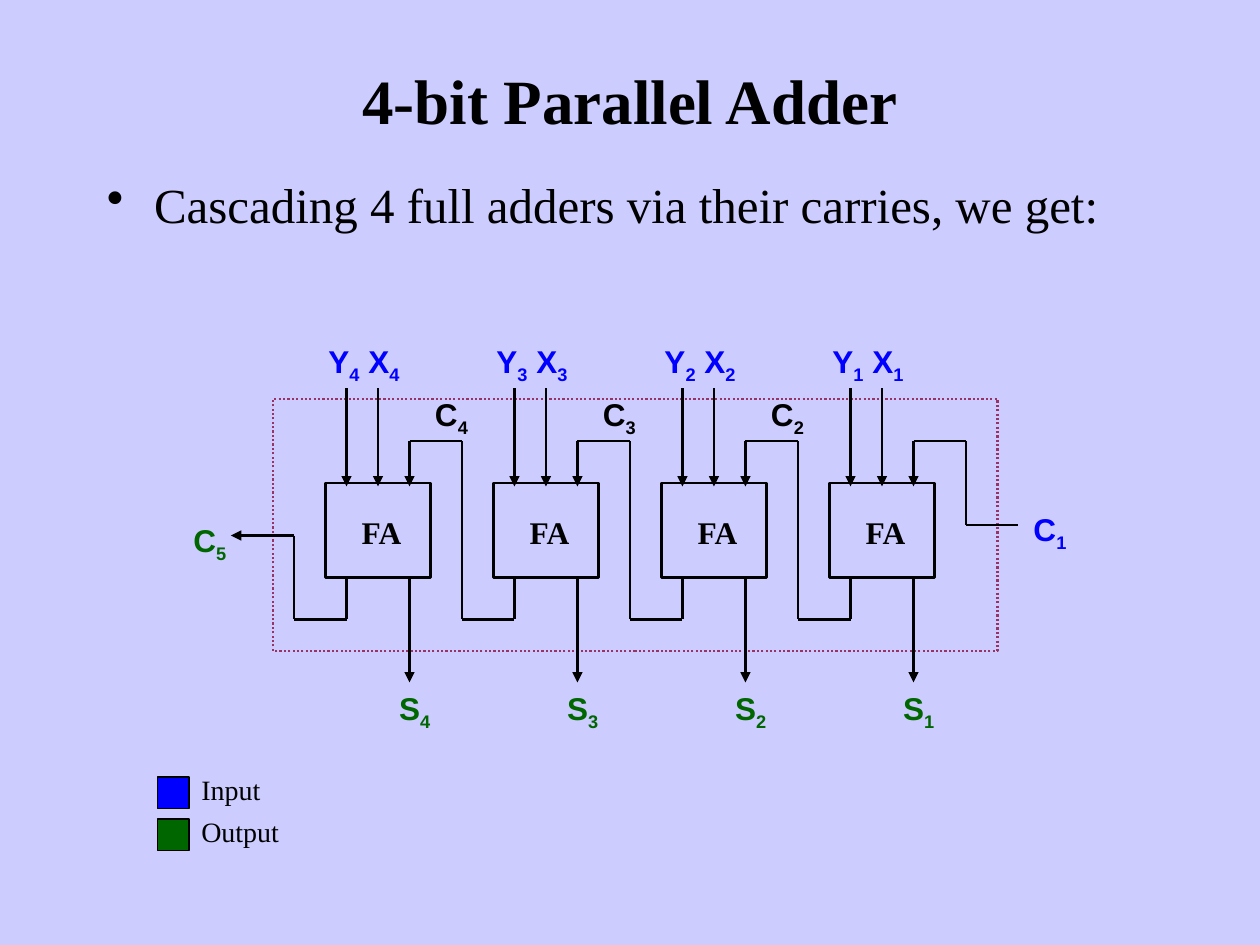
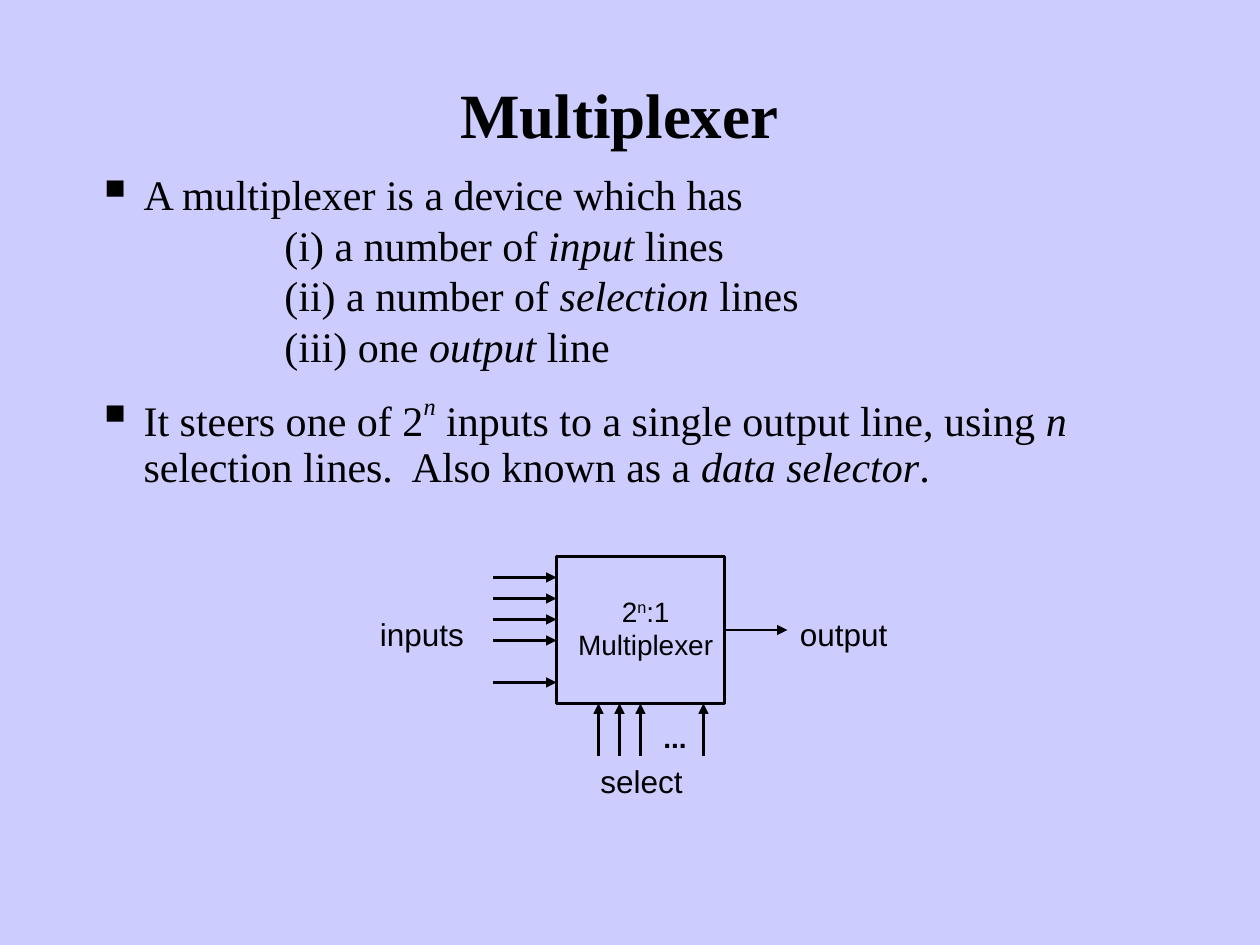
"""Build two slides on digital logic: a 4-bit parallel adder and a multiplexer."""
from dataclasses import dataclass

import lxml.etree
import pptx
import pptx.dml.color
import pptx.enum.dml
import pptx.enum.shapes
import pptx.enum.text
import pptx.oxml.ns
import pptx.util

Pt = pptx.util.Pt
qn = pptx.oxml.ns.qn
ALIGN = pptx.enum.text.PP_ALIGN
ANCHOR = pptx.enum.text.MSO_ANCHOR


@dataclass(frozen=True)
class Theme:
    background: str = "CCCCFF"
    ink: str = "000000"
    input: str = "0000FF"
    output: str = "006600"
    frame: str = "993366"
    serif: str = "Times New Roman"
    sans: str = "Arial"
    title: int = 36
    lead: int = 28
    body: int = 24
    label: int = 18
    small: int = 16
    wire: float = 1.25


theme = Theme()
baselines = {"sub": -25000, "sup": 30000, "power": 50000}


def write(slide, at, paragraphs, size, font=theme.sans, color=theme.ink, bold=False,
          align=ALIGN.LEFT, anchor=ANCHOR.TOP):
    """Add a text box; a paragraph is a list of (text, mark) runs."""
    frame = slide.shapes.add_textbox(*map(Pt, at)).text_frame
    frame.word_wrap = True
    frame.vertical_anchor = anchor
    for index, runs in enumerate(paragraphs):
        paragraph = frame.paragraphs[0] if index == 0 else frame.add_paragraph()
        paragraph.alignment = align
        for text, mark in runs:
            run = paragraph.add_run()
            run.text = text
            run.font.size = Pt(size)
            run.font.name = font
            run.font.bold = bold
            run.font.italic = mark in ("italic", "power")
            run.font.color.rgb = pptx.dml.color.RGBColor.from_string(color)
            if mark in baselines:
                run.font._element.set("baseline", str(baselines[mark]))
    return frame.paragraphs


def draw_box(slide, at, weight, color=theme.ink, fill=None):
    """Add a rectangle, hollow unless a fill is given."""
    box = slide.shapes.add_shape(pptx.enum.shapes.MSO_SHAPE.RECTANGLE, *map(Pt, at))
    box.shadow.inherit = False
    box.line.width = Pt(weight)
    box.line.color.rgb = pptx.dml.color.RGBColor.from_string(color)
    if fill:
        box.fill.solid()
        box.fill.fore_color.rgb = pptx.dml.color.RGBColor.from_string(fill)
    else:
        box.fill.background()
    return box


deck = pptx.Presentation()
deck.slide_width, deck.slide_height = Pt(720), Pt(540)
backdrop = deck.slide_master.background.fill
backdrop.solid()
backdrop.fore_color.rgb = pptx.dml.color.RGBColor.from_string(theme.background)
adder, multiplexer = [deck.slides.add_slide(deck.slide_layouts[6]) for _ in range(2)]

for slide, heading, left, top, anchor in (
        (adder, "4-bit Parallel Adder", 54, 12, ANCHOR.MIDDLE),
        (multiplexer, "Multiplexer", 48, 0, ANCHOR.BOTTOM)):
    write(slide, (left, top, 612, 90), [[(heading, "")]], theme.title, theme.serif,
          bold=True, align=ALIGN.CENTER, anchor=anchor)

cascade = write(adder, (54, 96, 612, 414),
                [[("Cascading 4 full adders via their carries, we get:", "")]],
                theme.lead, theme.serif)
definition = write(multiplexer, (48, 96, 612, 210), [
    [("A multiplexer is a device which has", "")],
    [("(i) a number of ", ""), ("input", "italic"), (" lines", "")],
    [("(ii) a number of ", ""), ("selection", "italic"), (" lines", "")],
    [("(iii) one ", ""), ("output", "italic"), (" line", "")],
    [("It steers one of 2", ""), ("n", "power"),
     (" inputs to a single output line, using ", ""), ("n", "italic"),
     (" selection lines.  Also known as a ", ""), ("data selector", "italic"), (".", "")],
], theme.body, theme.serif)

for paragraph, space in zip(definition, (0, 3, 3, 3, 15)):
    paragraph.line_spacing = 0.9
    paragraph.space_before = Pt(space)
for paragraph in definition[1:4]:
    paragraph._p.get_or_add_pPr().set("marL", str(Pt(107.5)))
for paragraph, bullet, percent in ((cascade[0], "•", 100),
                                   (definition[0], "▪", 120), (definition[4], "▪", 120)):
    properties = paragraph._p.get_or_add_pPr()
    properties.set("marL", str(Pt(27)))
    properties.set("indent", str(Pt(-27)))
    bullet_color = lxml.etree.SubElement(properties, qn("a:buClr"))
    lxml.etree.SubElement(bullet_color, qn("a:srgbClr"), val=theme.ink)
    lxml.etree.SubElement(properties, qn("a:buSzPct"), val=str(percent * 1000))
    lxml.etree.SubElement(properties, qn("a:buChar"), char=bullet)

wires = []
for column in range(4):
    bit = str(4 - column)
    left = 186 + 96 * column
    draw_box(adder, (left, 276, 60, 54), 1.5)
    write(adder, (left + 8, 289.5, 48, 29), [[("FA", "")]], theme.label, theme.serif,
          bold=True, align=ALIGN.CENTER)
    write(adder, (left - 12, 192, 68, 32),
          [[("Y", ""), (bit, "sub"), (" X", ""), (bit, "sub")]],
          theme.label, color=theme.input, bold=True, align=ALIGN.CENTER)
    write(adder, (left + 30, 390, 42, 32), [[("S", ""), (bit, "sub")]],
          theme.label, color=theme.output, bold=True, align=ALIGN.CENTER)
    riser_end = 354 if column < 3 else 300
    wires += [
        (adder, left + 12, 222, left + 12, 278, True),
        (adder, left + 30, 222, left + 30, 278, True),
        (adder, left + 48, 252, left + 48, 278, True),
        (adder, left + 48, 252, left + 78, 252, False),
        (adder, left + 78, 252, left + 78, riser_end, False),
        (adder, left + 48, 330, left + 48, 390, True),
        (adder, left + 12, 330, left + 12, 354, False),
        (adder, left - 18, 354, left + 12, 354, False),
    ]
wires += [
    (adder, 552, 300, 582, 300, False),
    (adder, 168, 306, 168, 354, False),
    (adder, 168, 306, 132, 306, True),
]
for bit, left, top, color in (("1", 582, 288, theme.input), ("2", 432, 222, theme.ink),
                              ("3", 336, 222, theme.ink), ("4", 240, 222, theme.ink),
                              ("5", 102, 294, theme.output)):
    write(adder, (left, top, 36, 32), [[("C", ""), (bit, "sub")]], theme.label,
          color=color, bold=True, align=ALIGN.CENTER)

boundary = draw_box(adder, (156, 228, 414, 144), theme.wire, theme.frame)
boundary.line.dash_style = pptx.enum.dml.MSO_LINE.ROUND_DOT
for meaning, top, color in (("Input", 444, theme.input), ("Output", 468, theme.output)):
    draw_box(adder, (90, top, 18, 18), 0.75, fill=color)
    write(adder, (108, top - 6, 72, 27), [[(meaning, "")]], theme.small, theme.serif)

draw_box(multiplexer, (318, 318, 96, 84), 1.5)
write(multiplexer, (318, 336, 102, 46),
      [[("2", ""), ("n", "sup"), (":1", "")], [("Multiplexer", "")]],
      theme.small, align=ALIGN.CENTER)
for caption, left, top, width in (("inputs", 210, 348, 66), ("output", 450, 348, 66),
                                  ("select", 336, 432, 72)):
    write(multiplexer, (left, top, width, 29), [[(caption, "")]], theme.label)
write(multiplexer, (372, 408, 30, 27), [[("...", "")]], theme.small, bold=True)
wires += [(multiplexer, 282, y, 318, y, True) for y in (330, 342, 354, 366, 390)]
wires += [(multiplexer, x, 432, x, 402, True) for x in (342, 354, 366, 402)]
wires.append((multiplexer, 414, 360, 450, 360, True))

for slide, *ends, has_arrow in wires:
    wire = slide.shapes.add_connector(pptx.enum.shapes.MSO_CONNECTOR.STRAIGHT, *map(Pt, ends))
    wire.line.width = Pt(theme.wire)
    wire.line.color.rgb = pptx.dml.color.RGBColor.from_string(theme.ink)
    outline = wire._element.spPr
    if has_arrow:
        lxml.etree.SubElement(outline.find(qn("a:ln")), qn("a:tailEnd"), type="triangle")
    lxml.etree.SubElement(outline, qn("a:effectLst"))

deck.save("out.pptx")
